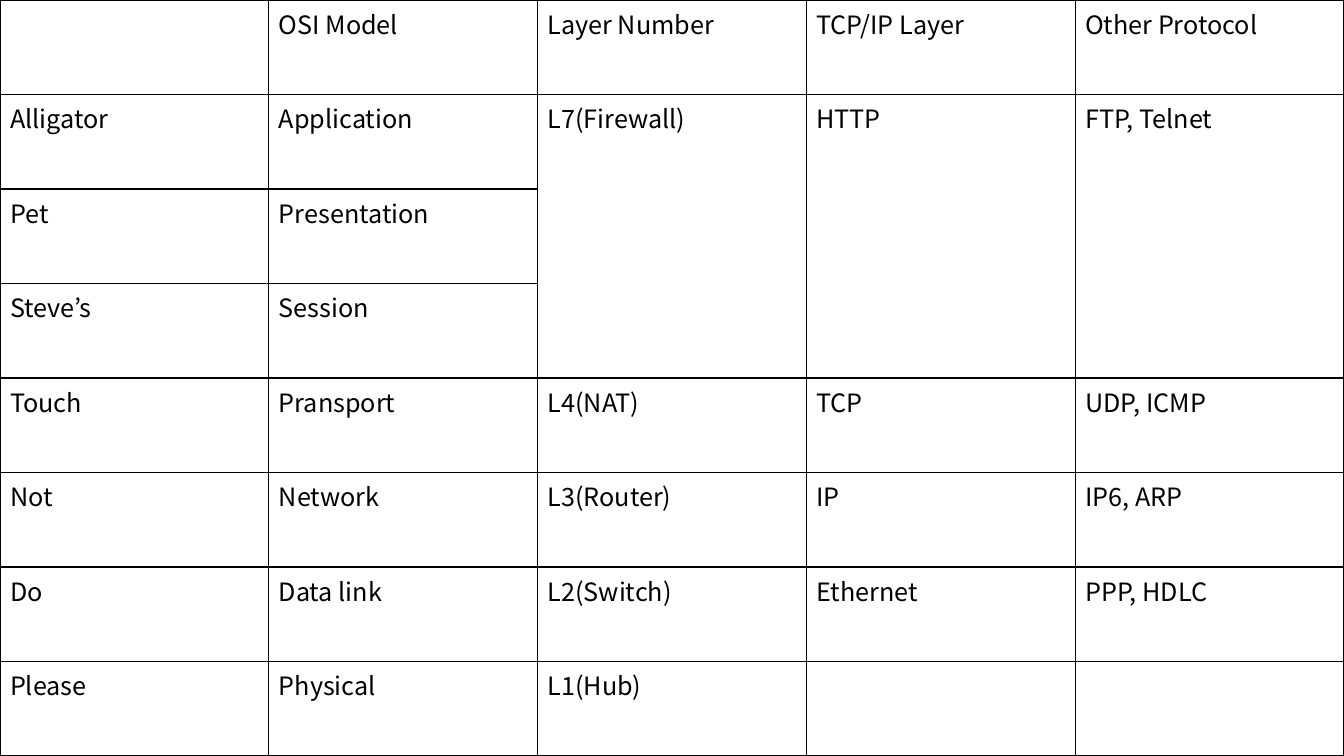
from lxml import etree
from pptx import Presentation, util as u
from pptx.dml.color import RGBColor
from pptx.oxml import ns

WIDE, HIGH = u.Inches(13.33), u.Inches(7.5)
FONT = "Noto Sans CJK KR"
INK = "000000"
ROWS = [
    ["", "OSI Model", "Layer Number", "TCP/IP Layer", "Other Protocol"],
    ["Alligator", "Application", "L7(Firewall)", "HTTP", "FTP, Telnet"],
    ["Pet", "Presentation", "", "", ""],
    ["Steve’s", "Session", "", "", ""],
    ["Touch", "Pransport", "L4(NAT)", "TCP", "UDP, ICMP"],
    ["Not", "Network", "L3(Router)", "IP", "IP6, ARP"],
    ["Do", "Data link", "L2(Switch)", "Ethernet", "PPP, HDLC"],
    ["Please", "Physical", "L1(Hub)", "", ""],
]
MERGED = [2, 3, 4]
FIRST, LAST = 1, 3


def color(code):
    return RGBColor.from_string(code)


def write(frame, words, size=18, font=FONT, ink=INK):
    part = frame.paragraphs[0]
    part.text = words
    part.font.size = u.Pt(size)
    for run in part.runs:
        run.font.size = u.Pt(size)
        run.font.name = font
        run.font.color.rgb = color(ink)


def border(cell, width=1, ink=INK):
    props = cell._tc.get_or_add_tcPr()
    for side in ("L", "R", "T", "B"):
        line = etree.SubElement(props, ns.qn(f"a:ln{side}"), w=str(u.Pt(width)))
        fill = etree.SubElement(line, ns.qn("a:solidFill"))
        etree.SubElement(fill, ns.qn("a:srgbClr"), val=ink)


def grid(slide, rows):
    table = slide.shapes.add_table(
        len(rows), len(rows[0]), 0, 0, WIDE, HIGH).table
    table.first_row = False
    table.horz_banding = False
    for col in table.columns:
        col.width = WIDE // len(rows[0])
    for row in table.rows:
        row.height = HIGH // len(rows)
    for r, line in enumerate(rows):
        for c, words in enumerate(line):
            cell = table.cell(r, c)
            border(cell)
            cell.fill.background()
            write(cell.text_frame, words)
    return table


def main():
    deck = Presentation()
    deck.slide_width, deck.slide_height = WIDE, HIGH
    slide = deck.slides.add_slide(deck.slide_layouts[6])
    table = grid(slide, ROWS)
    for col in MERGED:
        table.cell(FIRST, col).merge(table.cell(LAST, col))
    deck.save("out.pptx")


if __name__ == "__main__":
    main()
